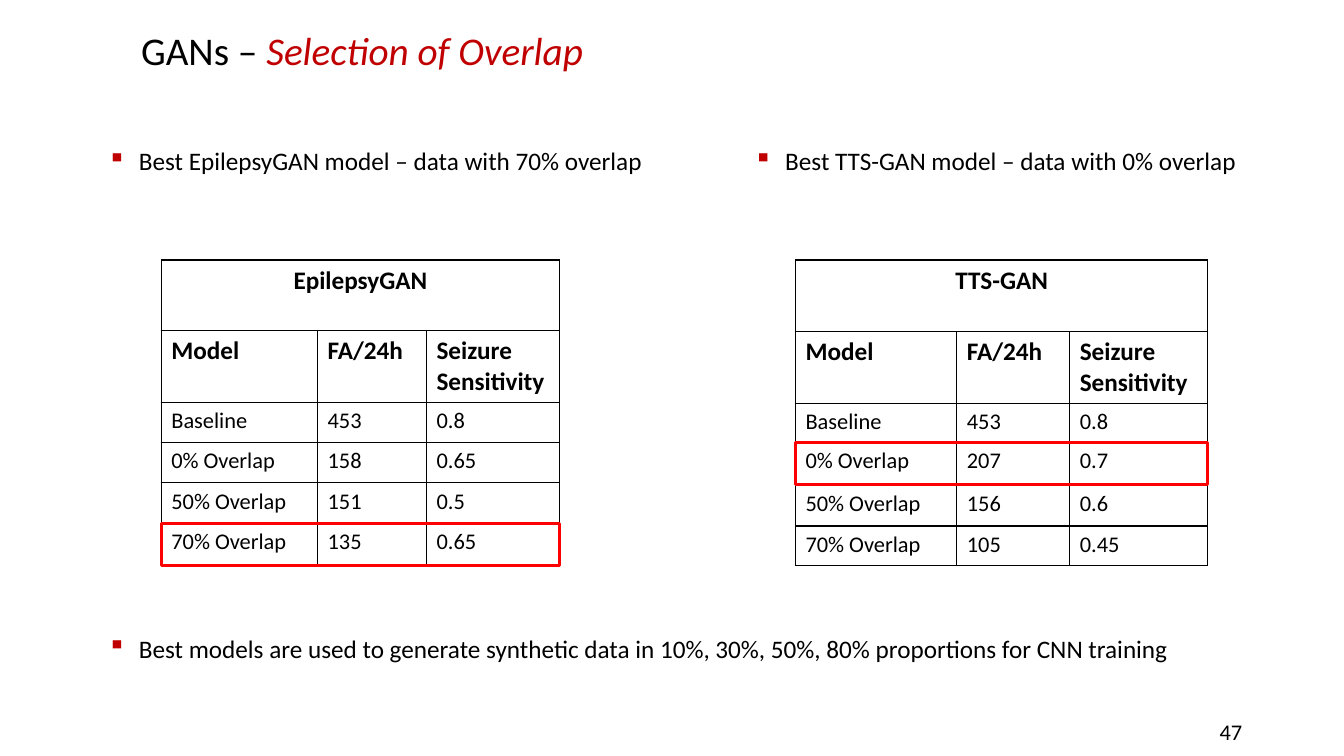
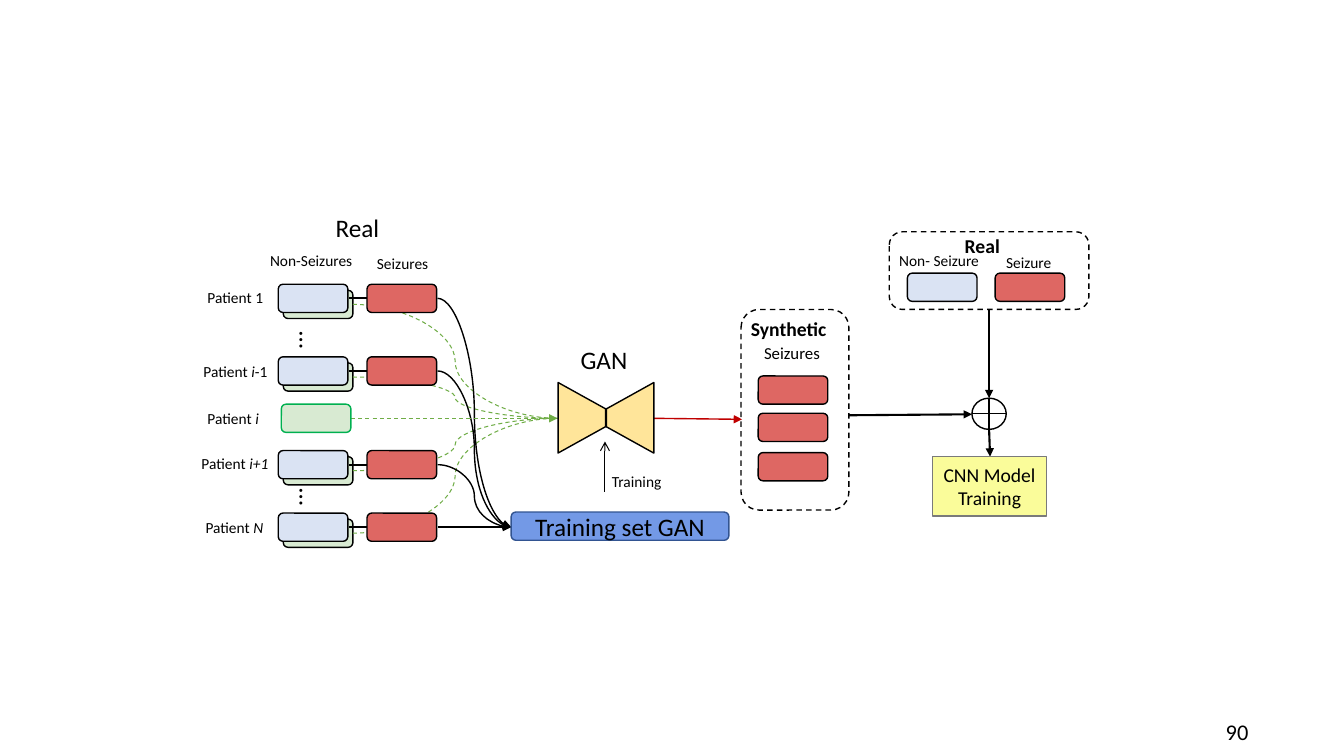
"""Build two slides: GAN overlap results and the GAN training pipeline."""
from dataclasses import dataclass

from lxml import etree
from pptx import Presentation
from pptx.dml.color import RGBColor
from pptx.enum.dml import MSO_LINE
from pptx.enum.shapes import MSO_CONNECTOR, MSO_SHAPE
from pptx.enum.text import MSO_ANCHOR, MSO_AUTO_SIZE, PP_ALIGN
from pptx.oxml.ns import qn
from pptx.util import Inches, Pt

LEFT, CENTER, RIGHT = PP_ALIGN.LEFT, PP_ALIGN.CENTER, PP_ALIGN.RIGHT
TOP, MIDDLE = MSO_ANCHOR.TOP, MSO_ANCHOR.MIDDLE
RECTANGLE, ROUNDED = MSO_SHAPE.RECTANGLE, MSO_SHAPE.ROUNDED_RECTANGLE
TRAPEZOID, SUM_CIRCLE = MSO_SHAPE.TRAPEZOID, MSO_SHAPE.FLOWCHART_OR
STRAIGHT, CURVE = MSO_CONNECTOR.STRAIGHT, MSO_CONNECTOR.CURVE
DASH, NO_AUTOFIT = MSO_LINE.DASH, MSO_AUTO_SIZE.NONE


@dataclass(frozen=True)
class Theme:
    font: str = "Calibri"
    black: str = "000000"
    accent: str = "C00000"
    highlight: str = "FF0000"
    non_seizure: str = "DAE3F3"
    seizure: str = "DE6763"
    held_out: str = "D8EAD2"
    held_out_edge: str = "00B050"
    held_out_flow: str = "70AD47"
    gan: str = "FFE59A"
    training_set: str = "7399E6"
    training_set_edge: str = "325491"
    cnn: str = "FAFC9A"
    cnn_edge: str = "7A7A7A"
    title: int = 28
    body: int = 18
    cell: int = 16
    heading: int = 14
    note: int = 12
    label: int = 11


theme = Theme()


def write(frame, runs, size, bold=False, align=LEFT, anchor=TOP):
    frame.word_wrap = True
    frame.vertical_anchor = anchor
    paragraph = frame.paragraphs[0]
    paragraph.alignment = align
    for text, italic, color in runs:
        run = paragraph.add_run()
        run.text = text
        run.font.name = theme.font
        run.font.size = Pt(size)
        run.font.bold = bold
        run.font.italic = italic
        run.font.color.rgb = RGBColor.from_string(color)
    return paragraph


def add_box(slide, kind, box, fill=None, edge=theme.black, width=1, dash=None):
    shape = slide.shapes.add_shape(kind, *map(Inches, box))
    shape.shadow.inherit = False
    if fill:
        shape.fill.solid()
        shape.fill.fore_color.rgb = RGBColor.from_string(fill)
    else:
        shape.fill.background()
    shape.line.color.rgb = RGBColor.from_string(edge)
    shape.line.width = Pt(width)
    shape.line.dash_style = dash
    return shape


presentation = Presentation()
presentation.slide_width = Inches(13.33)
presentation.slide_height = Inches(7.5)
results = presentation.slides.add_slide(presentation.slide_layouts[5])
pipeline = presentation.slides.add_slide(presentation.slide_layouts[6])

for slide, number, box in [
    (results, "47", (9.42, 7.08, 3, 0.4)),
    (pipeline, "90", (11.48, 7.08, 1, 0.4)),
]:
    page_number = slide.shapes.add_textbox(*map(Inches, box))
    write(page_number.text_frame, [(number, False, theme.black)], theme.cell, align=RIGHT)

title = results.shapes.title
title.left, title.top, title.width, title.height = map(Inches, (1.3, 0.09, 11.33, 0.87))
title.text_frame.auto_size = NO_AUTOFIT
title_runs = [("GANs – ", False, theme.black), ("Selection of Overlap", True, theme.accent)]
write(title.text_frame, title_runs, theme.title, anchor=MIDDLE).line_spacing = 0.9

for text, box, spacing in [
    ("Best EpilepsyGAN model – data with 70% overlap", (0.97, 1.24, 5.56, 0.51), 1.5),
    ("Best TTS-GAN model – data with 0% overlap", (7.38, 1.24, 5.8, 0.51), 1.5),
    ("Best models are used to generate synthetic data in 10%, 30%, 50%, 80% "
     "proportions for CNN training", (0.97, 6.23, 11.2, 0.4), 1),
]:
    bullet = results.shapes.add_textbox(*map(Inches, box))
    paragraph = write(bullet.text_frame, [(text, False, theme.black)], theme.body)
    paragraph.line_spacing = spacing
    properties = paragraph._p.get_or_add_pPr()
    properties.set("marL", str(Inches(0.31)))
    properties.set("indent", str(-Inches(0.31)))
    bullet_color = etree.SubElement(properties, qn("a:buClr"))
    etree.SubElement(bullet_color, qn("a:srgbClr"), val=theme.accent)
    etree.SubElement(properties, qn("a:buChar"), char="▪")

header = ("Model", "FA/24h", "Seizure Sensitivity")
table_top = 2.58
for name, left, widths, heights, best_row, records in [
    ("EpilepsyGAN", 1.6, (1.55, 1.08, 1.32), (0.7, 0.71, 0.4, 0.4, 0.4, 0.42), 5,
     [("Baseline", "453", "0.8"), ("0% Overlap", "158", "0.65"),
      ("50% Overlap", "151", "0.5"), ("70% Overlap", "135", "0.65")]),
    ("TTS-GAN", 7.89, (1.6, 1.12, 1.37), (0.71, 0.71, 0.39, 0.42, 0.41, 0.39), 3,
     [("Baseline", "453", "0.8"), ("0% Overlap", "207", "0.7"),
      ("50% Overlap", "156", "0.6"), ("70% Overlap", "105", "0.45")]),
]:
    rows = [(name, "", ""), header, *records]
    size = (left, table_top, sum(widths), sum(heights))
    table = results.shapes.add_table(len(rows), len(header), *map(Inches, size)).table
    table.first_row = table.horz_banding = False
    for column, width in zip(table.columns, widths):
        column.width = Inches(width)
    for row, height in zip(table.rows, heights):
        row.height = Inches(height)
    table.cell(0, 0).merge(table.cell(0, 2))
    for row_index, values in enumerate(rows):
        is_header = row_index < 2
        for column_index, value in enumerate(values):
            cell = table.cell(row_index, column_index)
            cell.fill.background()
            if value:
                write(cell.text_frame, [(value, False, theme.black)],
                      theme.body if is_header else theme.cell, is_header,
                      LEFT if row_index else CENTER)
            cell_properties = cell._tc.get_or_add_tcPr()
            for position, side in enumerate(("a:lnL", "a:lnR", "a:lnT", "a:lnB")):
                border = etree.Element(qn(side), w=str(Pt(1)))
                border_fill = etree.SubElement(border, qn("a:solidFill"))
                etree.SubElement(border_fill, qn("a:srgbClr"), val=theme.black)
                cell_properties.insert(position, border)
    best_box = (left, table_top + sum(heights[:best_row]), sum(widths), heights[best_row])
    add_box(results, RECTANGLE, best_box, edge=theme.highlight, width=2.25)

block = (0.69, 0.28)
middle = 0.14
gan_y = 4.15
training_set_y = 5.23
patient_tops = (2.82, 3.54, 4.47, 5.09)

for top in patient_tops:
    add_box(pipeline, ROUNDED, (2.81, top + 0.06, *block), theme.held_out)

lines = [(CURVE, (3.5, top + 0.2, 5.53, gan_y), theme.held_out_flow, 0.75, DASH, None)
         for top in patient_tops]
for top in patient_tops:
    y = top + middle
    lines += [
        (STRAIGHT, (3.46, y, 3.64, y), theme.black, 1.5, None, None),
        (CURVE, (4.34, y, 5.07, training_set_y), theme.black, 1, None, "triangle"),
    ]
lines += [
    (STRAIGHT, (3.48, gan_y, 5.53, gan_y), theme.held_out_flow, 0.75, DASH, "triangle"),
    (STRAIGHT, (6.48, gan_y, 7.36, 4.16), theme.accent, 1, None, "triangle"),
    (STRAIGHT, (6, 4.88, 6, 4.38), theme.black, 0.75, None, "arrow"),
    (STRAIGHT, (9.81, 3.07, 9.81, 3.95), theme.black, 1.5, None, "triangle"),
    (STRAIGHT, (8.42, 4.12, 9.64, 4.11), theme.black, 1.5, None, "triangle"),
    (STRAIGHT, (9.81, 4.26, 9.82, 4.53), theme.black, 1.5, None, "triangle"),
]
for kind, ends, color, width, dash, arrowhead in lines:
    connector = pipeline.shapes.add_connector(kind, *map(Inches, ends))
    connector.line.color.rgb = RGBColor.from_string(color)
    connector.line.width = Pt(width)
    connector.line.dash_style = dash
    if arrowhead:
        etree.SubElement(connector.line._get_or_add_ln(), qn("a:tailEnd"), type=arrowhead)
    etree.SubElement(connector._element.spPr, qn("a:effectLst"))

for top in patient_tops:
    add_box(pipeline, ROUNDED, (2.76, top, *block), theme.non_seizure)
    add_box(pipeline, ROUNDED, (3.64, top, *block), theme.seizure)
add_box(pipeline, ROUNDED, (2.79, 4.01, *block), theme.held_out, theme.held_out_edge)

for left, rotation in ((5.42, 90), (5.9, 270)):
    network = add_box(pipeline, TRAPEZOID, (left, 3.91, 0.7, 0.47), theme.gan)
    network.adjustments[0] = 0.555
    network.rotation = rotation

for top in (3.73, 4.1, 4.49):
    add_box(pipeline, ROUNDED, (7.52, top, *block), theme.seizure)
add_box(pipeline, ROUNDED, (9, 2.71, *block), theme.non_seizure)
add_box(pipeline, ROUNDED, (9.87, 2.71, *block), theme.seizure)
for frame_box in ((7.35, 3.07, 1.07, 1.99), (8.82, 2.3, 1.98, 0.77)):
    add_box(pipeline, ROUNDED, frame_box, dash=DASH)
add_box(pipeline, SUM_CIRCLE, (9.64, 3.95, 0.34, 0.31))

training_set = add_box(pipeline, ROUNDED, (5.07, 5.08, 2.16, 0.28),
                       theme.training_set, theme.training_set_edge)
cnn_training = add_box(pipeline, RECTANGLE, (9.25, 4.53, 1.13, 0.59), theme.cnn, theme.cnn_edge)
for shape, text, size in [
    (training_set, "Training set GAN", theme.body),
    (cnn_training, "CNN Model Training", theme.heading),
]:
    write(shape.text_frame, [(text, False, theme.black)], size, align=CENTER, anchor=MIDDLE)

for left, top, parts in [
    (1.96, 2.81, ("Patient 1",)),
    (1.92, 3.54, ("Patient ", "i", "-1")),
    (1.96, 4.01, ("Patient ", "i")),
    (1.9, 4.46, ("Patient ", "i+1")),
    (1.94, 5.09, ("Patient ", "N")),
]:
    label = pipeline.shapes.add_textbox(*map(Inches, (left, top, 1, 0.29)))
    runs = [(part, index == 1, theme.black) for index, part in enumerate(parts)]
    write(label.text_frame, runs, theme.label)

for text, left, top, width, size, bold in [
    ("Real", 3.23, 2.06, 0.8, theme.body, False),
    ("Non-Seizures", 2.58, 2.44, 1.29, theme.label, False),
    ("Seizures", 3.64, 2.47, 1.07, theme.label, False),
    ("GAN", 5.66, 3.37, 0.8, theme.body, False),
    ("Training", 5.97, 4.63, 0.9, theme.label, False),
    ("Synthetic", 7.35, 3.09, 1.07, theme.heading, True),
    ("Seizures", 7.48, 3.35, 0.9, theme.note, False),
    ("Real", 9.47, 2.27, 1.07, theme.heading, True),
    ("Non- Seizure", 8.82, 2.44, 1.1, theme.label, False),
    ("Seizure", 9.88, 2.46, 0.8, theme.label, False),
]:
    label = pipeline.shapes.add_textbox(*map(Inches, (left, top, width, 0.3)))
    write(label.text_frame, [(text, False, theme.black)], size, bold)

for top in (3.18, 4.74):
    ellipsis = pipeline.shapes.add_textbox(*map(Inches, (2.88, top, 0.38, 0.4)))
    ellipsis.rotation = 90
    write(ellipsis.text_frame, [("…", False, theme.black)], theme.body)

presentation.save("out.pptx")
